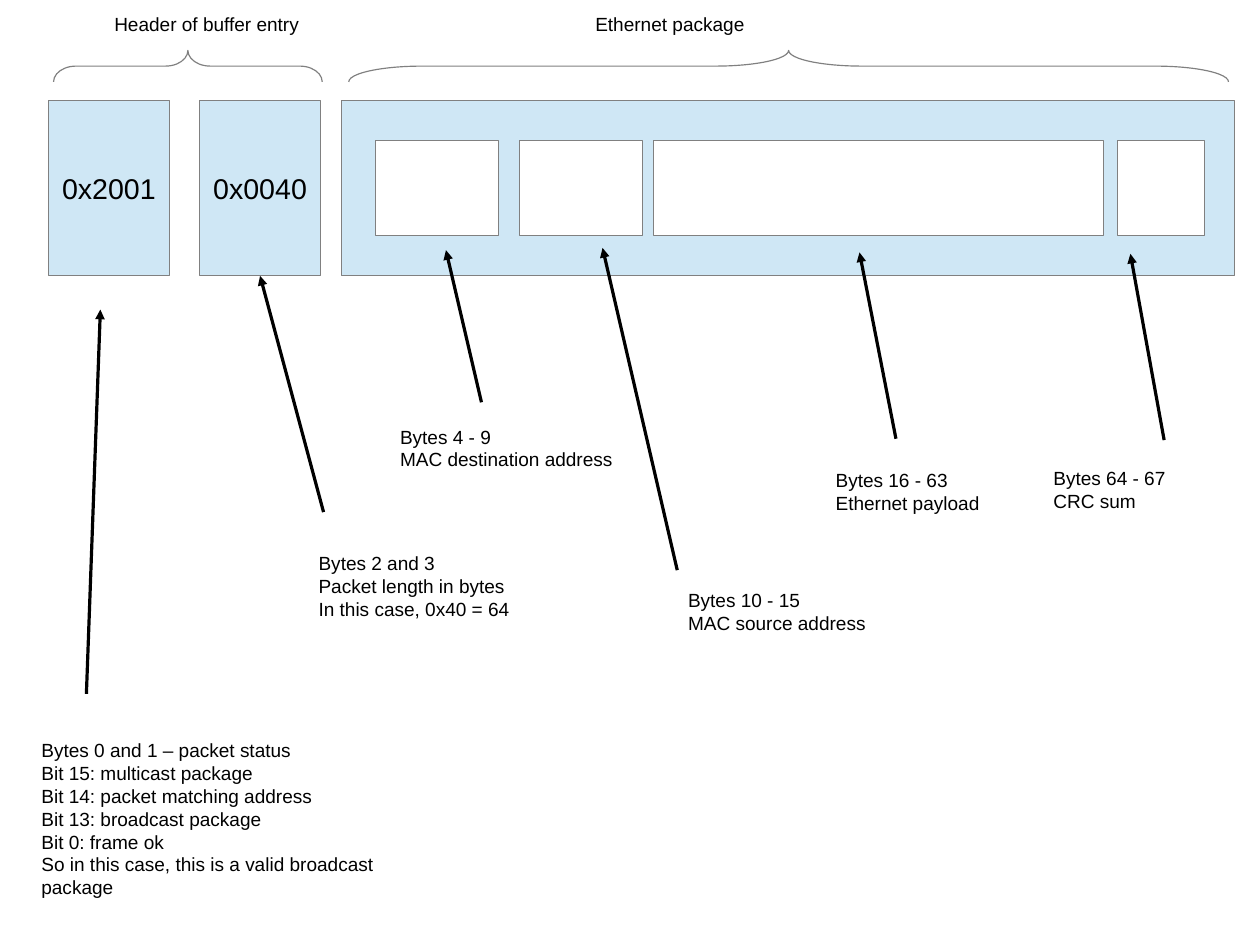
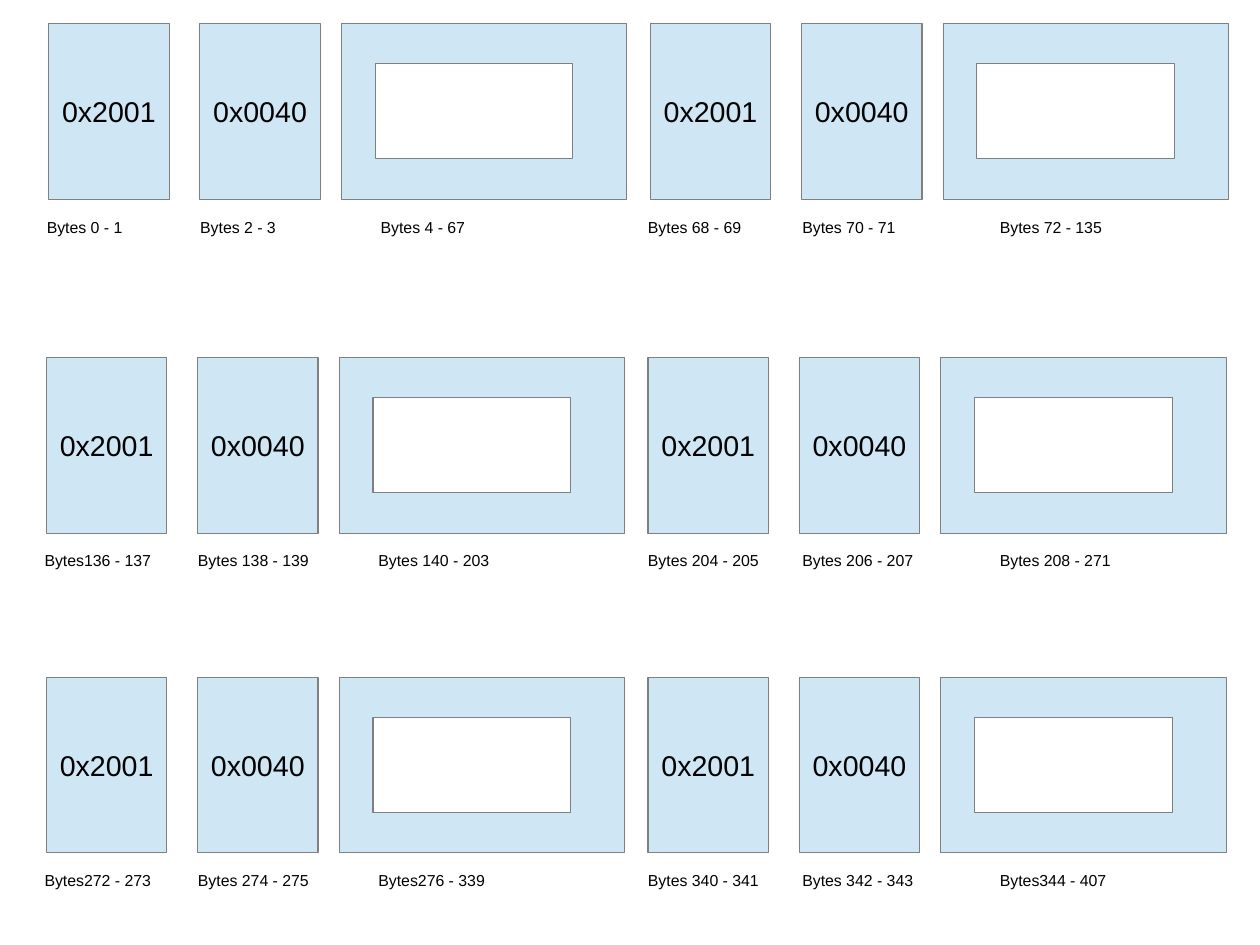
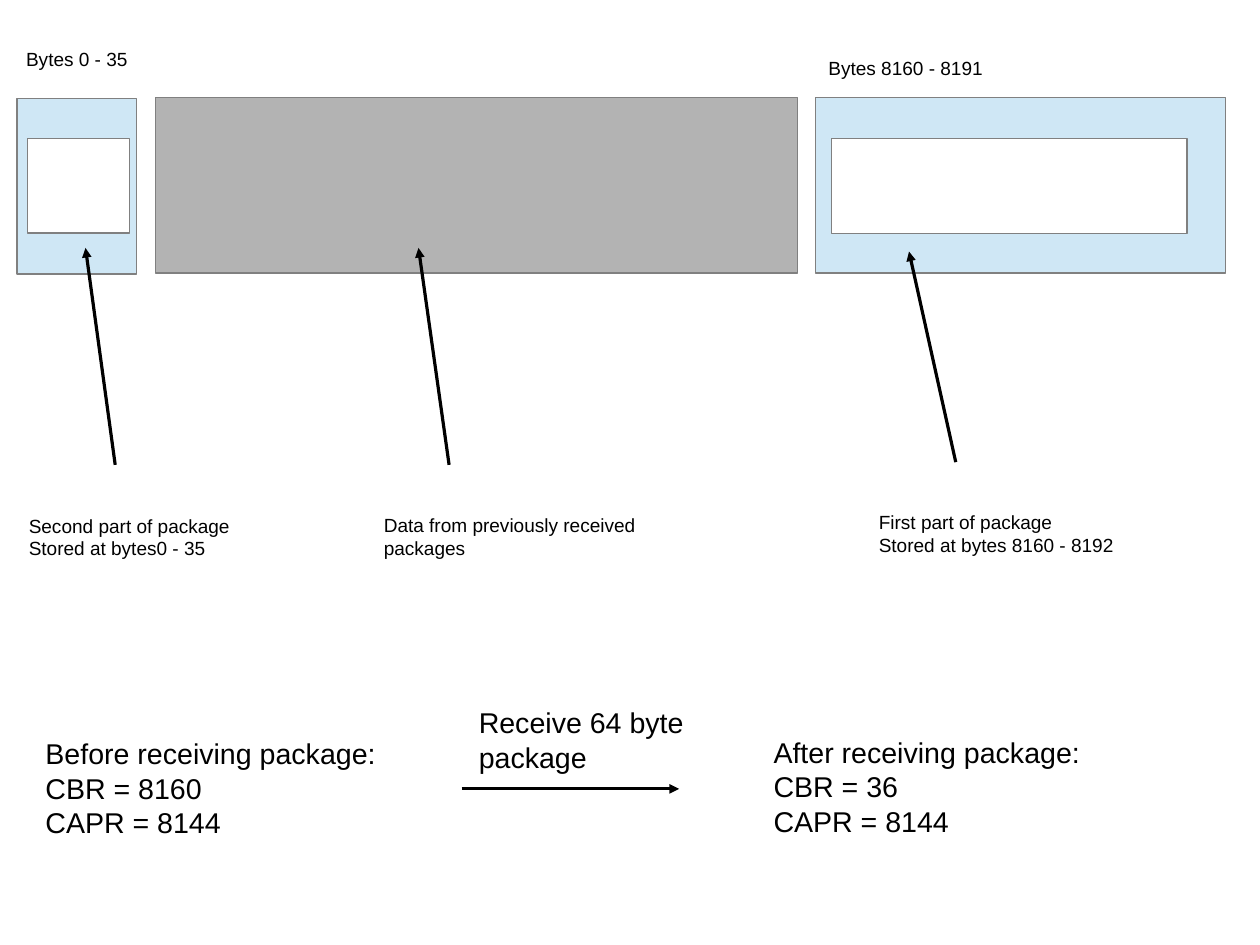
from dataclasses import dataclass
from typing import Optional

from lxml.etree import SubElement
from pptx import Presentation
from pptx.dml.color import RGBColor
from pptx.enum.shapes import MSO_CONNECTOR, MSO_SHAPE
from pptx.enum.text import MSO_ANCHOR, MSO_AUTO_SIZE, PP_ALIGN
from pptx.oxml.ns import qn
from pptx.shapes.autoshape import Shape
from pptx.slide import Slide
from pptx.text.text import TextFrame
from pptx.util import Cm, Pt

# Shared look
BLUE = RGBColor(0xCF, 0xE7, 0xF5)
WHITE = RGBColor(0xFF, 0xFF, 0xFF)
GREY = RGBColor(0xB3, 0xB3, 0xB3)
OUTLINE = RGBColor(0x80, 0x80, 0x80)
BLACK = RGBColor(0x00, 0x00, 0x00)
FONT = "Arial"
LARGE, NORMAL, SMALL = 18, 12, 10

# Shared geometry, in centimetres
WORD_WIDTH, BLOCK_HEIGHT = 2.68, 3.9
FIELD_HEIGHT, FIELD_INSET_X, FIELD_INSET_Y = 2.11, 0.75, 0.89
LENGTH_OFFSET, PACKAGE_OFFSET = 3.36, 6.51
NOTE_WIDTH, LINE_HEIGHT = 5.46, 0.5
STATUS_WORD, LENGTH_WORD = "0x2001", "0x0040"


@dataclass(frozen=True)
class Block:
    left: float
    top: float
    width: float
    height: float = BLOCK_HEIGHT
    fill: RGBColor = BLUE
    text: str = ""


@dataclass(frozen=True)
class Note:
    left: float
    top: float
    lines: tuple[str, ...]
    width: float = NOTE_WIDTH
    size: int = NORMAL


@dataclass(frozen=True)
class Arrow:
    start: tuple[float, float]
    end: tuple[float, float]


@dataclass(frozen=True)
class Brace:
    left: float
    width: float
    top: float = 1.12
    height: float = 0.7


@dataclass(frozen=True)
class BufferRow:
    left: float
    top: float
    labels: tuple[str, ...]


# Slide 1: layout of one buffer entry
ENTRY_LEFT, ENTRY_TOP = 1.08, 2.23
FIELDS = ((8.34, 2.74), (11.54, 2.74), (14.52, 10.0), (24.83, 1.93))
BRACES = (Brace(1.19, 5.97), Brace(7.75, 19.55))
ENTRY_NOTES = (
    Note(2.29, 0.15, ("Header of buffer entry",)),
    Note(12.98, 0.15, ("Ethernet package",)),
    Note(0.67, 16.29, (
        "Bytes 0 and 1 – packet status",
        "Bit 15: multicast package",
        "Bit 14: packet matching address",
        "Bit 13: broadcast package",
        "Bit 0: frame ok",
        "So in this case, this is a valid broadcast",
        "package",
    ), 8.53),
    Note(6.83, 12.14, ("Bytes 2 and 3", "Packet length in bytes",
                       "In this case, 0x40 = 64")),
    Note(8.64, 9.32, ("Bytes 4 - 9", "MAC destination address")),
    Note(15.04, 12.95, ("Bytes 10 - 15", "MAC source address")),
    Note(18.32, 10.29, ("Bytes 16 - 63", "Ethernet payload")),
    Note(23.16, 10.24, ("Bytes 64 - 67", "CRC sum"), 4.5),
)
LENGTH_ARROW = Arrow((7.19, 11.38), (5.78, 6.13))
ENTRY_ARROWS = (
    Arrow((1.92, 15.42), (2.23, 6.88)),
    Arrow((10.7, 8.94), (9.91, 5.56)),
    Arrow((15.05, 12.67), (13.39, 5.51)),
    Arrow((19.91, 9.75), (19.1, 5.61)),
    Arrow((25.87, 9.78), (25.12, 5.64)),
)

# Slide 2: six entries in a buffer
ENTRY_PITCH = 13.37
SHORT_PACKAGE_WIDTH, SHORT_FIELD_WIDTH = 6.34, 4.39
LABEL_DROP = 4.17
LABEL_WIDTH = 3.56
FIRST_LABEL_OFFSETS = (-0.29, 3.12, 7.13)
SECOND_LABEL_LEFTS = (14.15, 17.58, 21.97)
BUFFER_ROWS = (
    BufferRow(1.08, 0.53, ("Bytes 0 - 1", "Bytes 2 - 3", "Bytes 4 - 67",
                           "Bytes 68 - 69", "Bytes 70 - 71", "Bytes 72 - 135")),
    BufferRow(1.03, 7.95, ("Bytes136 - 137", "Bytes 138 - 139", "Bytes 140 - 203",
                           "Bytes 204 - 205", "Bytes 206 - 207", "Bytes 208 - 271")),
    BufferRow(1.03, 15.05, ("Bytes272 - 273", "Bytes 274 - 275", "Bytes276 - 339",
                            "Bytes 340 - 341", "Bytes 342 - 343", "Bytes344 - 407")),
)

# Slide 3: a package that wraps around the buffer end
WRAP_BLOCKS = (
    Block(0.38, 2.19, 2.65),
    Block(0.61, 3.07, 2.27, FIELD_HEIGHT, WHITE),
    Block(3.45, 2.17, 14.28, fill=GREY),
    Block(18.12, 2.17, 9.12),
    Block(18.48, 3.08, 7.9, FIELD_HEIGHT, WHITE),
)
WRAP_NOTES = (
    Note(0.33, 0.94, ("Bytes 0 - 35",)),
    Note(18.16, 1.14, ("Bytes 8160 - 8191",)),
    Note(0.39, 11.3, ("Second part of package", "Stored at bytes0 - 35"), 6.43),
    Note(8.28, 11.28, ("Data from previously received packages",), 6.43),
    Note(19.28, 11.23, ("First part of package", "Stored at bytes 8160 - 8192"), 6.43),
    Note(0.76, 16.24, ("Before receiving package:", "CBR = 8160", "CAPR = 8144"),
         9.9, LARGE),
    Note(10.39, 15.55, ("Receive 64 byte", "package"), 6.05, LARGE),
    Note(16.94, 16.21, ("After receiving package:", "CBR = 36", "CAPR = 8144"),
         9.9, LARGE),
)
WRAP_ARROWS = (
    Arrow((2.56, 10.33), (1.9, 5.51)),
    Arrow((9.98, 10.33), (9.3, 5.51)),
    Arrow((21.24, 10.27), (20.2, 5.59)),
    Arrow((10.26, 17.53), (15.09, 17.53)),
)


# Drawing functions
def add_lines(frame: TextFrame, lines: tuple[str, ...], size: int,
              alignment: PP_ALIGN = PP_ALIGN.LEFT) -> None:
    for index, line in enumerate(lines):
        paragraph = frame.add_paragraph() if index else frame.paragraphs[0]
        paragraph.alignment = alignment
        run = paragraph.add_run()
        run.text = line
        run.font.name = FONT
        run.font.size = Pt(size)
        run.font.color.rgb = BLACK


def draw_block(slide: Slide, block: Block) -> Shape:
    shape = slide.shapes.add_shape(MSO_SHAPE.RECTANGLE, Cm(block.left), Cm(block.top),
                                   Cm(block.width), Cm(block.height))
    shape.shadow.inherit = False
    shape.fill.solid()
    shape.fill.fore_color.rgb = block.fill
    shape.line.color.rgb = OUTLINE
    shape.line.width = Pt(0)
    if block.text:
        shape.text_frame.word_wrap = False
        shape.text_frame.vertical_anchor = MSO_ANCHOR.MIDDLE
        add_lines(shape.text_frame, (block.text,), LARGE, PP_ALIGN.CENTER)
    return shape


def draw_note(slide: Slide, note: Note) -> None:
    height = LINE_HEIGHT * note.size / NORMAL * len(note.lines) + 0.25
    shape = slide.shapes.add_textbox(Cm(note.left), Cm(note.top),
                                     Cm(note.width), Cm(height))
    shape.text_frame.word_wrap = True
    shape.text_frame.auto_size = MSO_AUTO_SIZE.SHAPE_TO_FIT_TEXT
    add_lines(shape.text_frame, note.lines, note.size)


def draw_arrow(slide: Slide, arrow: Arrow, target: Optional[Shape] = None) -> None:
    connector = slide.shapes.add_connector(
        MSO_CONNECTOR.STRAIGHT, *(Cm(value) for value in arrow.start + arrow.end))
    if target is not None:
        connector.end_connect(target, 2)
    connector.line.color.rgb = BLACK
    connector.line.width = Pt(0)
    properties = connector.line._get_or_add_ln()
    SubElement(properties, qn("a:tailEnd"), type="triangle")
    SubElement(properties.getparent(), qn("a:effectLst"))


def draw_brace(slide: Slide, brace: Brace) -> None:
    # A left brace turned a quarter, so width and height swap about the centre
    shift = (brace.width - brace.height) / 2
    shape = slide.shapes.add_shape(MSO_SHAPE.LEFT_BRACE, Cm(brace.left + shift),
                                   Cm(brace.top - shift), Cm(brace.height),
                                   Cm(brace.width))
    shape.rotation = 90
    shape.adjustments[0] = brace.width / 12 / brace.height
    shape.shadow.inherit = False
    shape.fill.background()
    shape.line.color.rgb = OUTLINE
    shape.line.width = Pt(0)


def draw_entry(slide: Slide, left: float, top: float, package_width: float,
               fields: tuple[tuple[float, float], ...]) -> Shape:
    """Draw header words, package and its fields; return the length word."""
    draw_block(slide, Block(left, top, WORD_WIDTH, text=STATUS_WORD))
    length_word = draw_block(
        slide, Block(left + LENGTH_OFFSET, top, WORD_WIDTH, text=LENGTH_WORD))
    draw_block(slide, Block(left + PACKAGE_OFFSET, top, package_width))
    for field_left, field_width in fields:
        draw_block(slide, Block(field_left, top + FIELD_INSET_Y, field_width,
                                FIELD_HEIGHT, WHITE))
    return length_word


def draw_annotations(slide: Slide, notes: tuple[Note, ...],
                     arrows: tuple[Arrow, ...]) -> None:
    for note in notes:
        draw_note(slide, note)
    for arrow in arrows:
        draw_arrow(slide, arrow)


# Slides
def build_entry_slide(slide: Slide) -> None:
    length_word = draw_entry(slide, ENTRY_LEFT, ENTRY_TOP, 19.84, FIELDS)
    draw_arrow(slide, LENGTH_ARROW, length_word)
    for brace in BRACES:
        draw_brace(slide, brace)
    draw_annotations(slide, ENTRY_NOTES, ENTRY_ARROWS)


def build_buffer_slide(slide: Slide) -> None:
    for row in BUFFER_ROWS:
        for left in (row.left, row.left + ENTRY_PITCH):
            field_left = left + PACKAGE_OFFSET + FIELD_INSET_X
            draw_entry(slide, left, row.top, SHORT_PACKAGE_WIDTH,
                       ((field_left, SHORT_FIELD_WIDTH),))
        label_lefts = (*(row.left + offset for offset in FIRST_LABEL_OFFSETS),
                       *SECOND_LABEL_LEFTS)
        for left, label in zip(label_lefts, row.labels):
            draw_note(slide, Note(left, row.top + LABEL_DROP, (label,),
                                  LABEL_WIDTH, SMALL))


def build_wrap_slide(slide: Slide) -> None:
    for block in WRAP_BLOCKS:
        draw_block(slide, block)
    draw_annotations(slide, WRAP_NOTES, WRAP_ARROWS)


def main() -> None:
    presentation = Presentation()
    presentation.slide_width = Cm(28)
    presentation.slide_height = Cm(21)
    blank_layout = presentation.slide_layouts[6]
    for build in (build_entry_slide, build_buffer_slide, build_wrap_slide):
        build(presentation.slides.add_slide(blank_layout))
    presentation.save("out.pptx")


if __name__ == "__main__":
    main()
